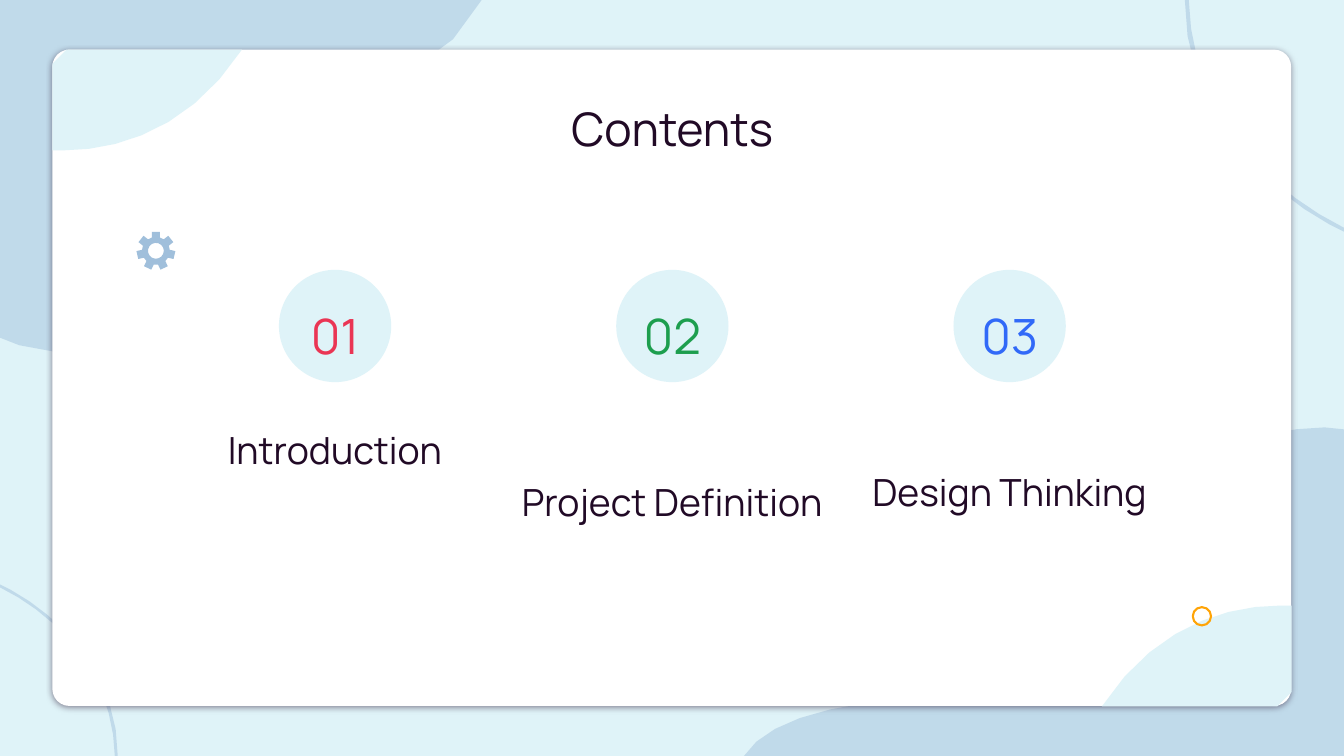
import math

import pptx
import pptx.dml.color
import pptx.enum.shapes
import pptx.enum.text
import pptx.oxml
import pptx.oxml.ns
import pptx.util
from pptx.util import Cm

COLOURS = {
    "ice": "DFF3F8", "steel": "A0BFDB", "white": "FFFFFF", "ink": "210A26",
    "red": "EA3554", "green": "1D9E4E", "blue": "3169F8", "amber": "FFA406",
}
RGB = {name: pptx.dml.color.RGBColor.from_string(code) for name, code in COLOURS.items()}
OVAL = pptx.enum.shapes.MSO_SHAPE.OVAL
ANCHOR = pptx.enum.text.MSO_ANCHOR
NS = pptx.oxml.ns.nsdecls("a")
WIDTH, HEIGHT = 33.87, 19.05
CARD_LEFT, CARD_TOP = 1.32, 1.25

prs = pptx.Presentation()
prs.slide_width, prs.slide_height = Cm(WIDTH), Cm(HEIGHT)
slide = prs.slides.add_slide(prs.slide_layouts.get_by_name("Comparison"))
slide.background.fill.solid()
slide.background.fill.fore_color.rgb = RGB["ice"]


def draw_outline(contours, colour, origin=(0, 0), scale=(1, 1), alpha=None):
    """Fill contours made of (x, y) corners and six-number Bezier steps, in cm from origin."""
    builder = None
    for contour in contours:
        points = [contour[0]]
        for step in contour[1:]:
            if len(step) == 2:
                points.append(step)
                continue
            knots = [points[-1], step[:2], step[2:4], step[4:]]
            pieces = min(8, math.ceil(math.dist(knots[0], knots[3]) / 0.8))
            for t in [n / pieces for n in range(1, pieces + 1)]:
                weights = [math.comb(3, k) * t**k * (1 - t) ** (3 - k) for k in range(4)]
                points.append([sum(w * knot[axis] for w, knot in zip(weights, knots))
                               for axis in (0, 1)])
        placed = [(Cm(origin[0] + scale[0] * x), Cm(origin[1] + scale[1] * y)) for x, y in points]
        if builder is None:
            builder = slide.shapes.build_freeform(*placed[0])
        else:
            builder.move_to(*placed[0])
        builder.add_line_segments(placed[1:], close=True)
    outline = builder.convert_to_shape()
    outline.shadow.inherit = False
    outline.line.fill.background()
    outline.fill.solid()
    outline.fill.fore_color.rgb = RGB[colour]
    if alpha:
        tint = outline.fill._xPr.find(".//" + pptx.oxml.ns.qn("a:srgbClr"))
        tint.append(pptx.oxml.parse_xml(f'<a:alpha {NS} val="{alpha * 1000}"/>'))


def write_line(box, text, size, colour, anchor):
    """Put one centred line of text in a box or placeholder."""
    frame = box.text_frame
    frame.word_wrap = True
    frame.auto_size = pptx.enum.text.MSO_AUTO_SIZE.NONE
    frame.vertical_anchor = anchor
    frame.margin_left = frame.margin_right = frame.margin_top = frame.margin_bottom = Cm(0.33)
    paragraph = frame.paragraphs[0]
    paragraph.alignment = pptx.enum.text.PP_ALIGN.CENTER
    paragraph.line_spacing = 1.15
    paragraph.space_before = pptx.util.Pt(0)
    run = paragraph.add_run()
    run.text = text
    run.font.name = "Manrope"
    run.font.size = pptx.util.Pt(size)
    run.font.bold = False
    run.font.color.rgb = RGB[colour]


# Background waves and arcs
arc = [
    (3.91, 0), (3.89, 1.22, 3.48, 2.46, 2.74, 3.45), (2.03, 4.45, 1.07, 5.21, 0, 5.74),
    (0, 5.84), (0.36, 5.66), (1.24, 5.18, 2.03, 4.52, 2.67, 3.73),
    (3.3, 2.9, 3.76, 1.96, 3.94, 0.91), (4.01, 0),
]
top_wave = [
    (1.52, 8.89), (0.79, 8.89, 0, 8.51, 0, 8.51), (0, 0), (12.14, 0),
    (10.59, 3.07, 5.79, 2.49, 3.78, 3.1), (1.8, 3.68, 3.99, 6.63, 2.92, 8.2),
    (2.54, 8.74, 2.03, 8.89, 1.52, 8.89),
]
bottom_wave = [
    (18.75, 19.05), (19.3, 18.16, 21.13, 17.58, 24.1, 17.58), (24.56, 17.58),
    (29.01, 17.58, 27.15, 13.64, 30.45, 11.58), (31.34, 11.02, 32.49, 10.77, 33.38, 10.77),
    (33.87, 10.82), (33.87, 19.05),
]
draw_outline([arc], "steel", (WIDTH, 0), (-1, 1), alpha=48)
draw_outline([top_wave], "steel", alpha=48)
draw_outline([bottom_wave], "steel", alpha=48)
draw_outline([arc], "steel", (0, HEIGHT), (0.74, -0.74), alpha=48)

# White card with a soft shadow
card = slide.shapes.add_shape(
    pptx.enum.shapes.MSO_SHAPE.ROUNDED_RECTANGLE,
    Cm(CARD_LEFT), Cm(CARD_TOP), Cm(31.22), Cm(16.54))
card.adjustments[0] = 0.026
card.fill.solid()
card.fill.fore_color.rgb = RGB["white"]
card.line.fill.background()
card.shadow.inherit = False
card_effects = card._element.spPr.find(pptx.oxml.ns.qn("a:effectLst"))
card_effects.append(pptx.oxml.parse_xml(
    f'<a:outerShdw {NS} blurRad="57150" dist="19050" dir="5400000" algn="bl" rotWithShape="0">'
    f'<a:srgbClr val="{COLOURS["ink"]}"><a:alpha val="50000"/></a:srgbClr></a:outerShdw>'))

# Tinted card corners, the second turned by half a circle
corner = [
    (4.78, 0), (3.5, 1.96, 1.73, 2.54, 0.28, 2.54), (0, 2.54),
    (0, 0.36), (0, 0.18, 0.15, 0, 0.36, 0),
]
draw_outline([corner], "ice", (CARD_LEFT, CARD_TOP))
draw_outline([corner], "ice", (WIDTH - CARD_LEFT, HEIGHT - CARD_TOP), (-1, -1))

# Seven-toothed gear
teeth = []
for tooth in range(7):
    for offset, radius in ((-17, 0.35), (-12, 0.49), (12, 0.49), (17, 0.35)):
        angle = math.radians(tooth * 360 / 7 - 90 + offset)
        teeth.append((radius * math.cos(angle), radius * math.sin(angle)))
hole = [(0.2 * math.cos(math.radians(-a)), 0.2 * math.sin(math.radians(-a)))
        for a in range(0, 360, 24)]
draw_outline([teeth, hole], "steel", (3.93, 6.32))

ring = slide.shapes.add_shape(OVAL, Cm(30.06), Cm(15.3), Cm(0.46), Cm(0.46))
ring.shadow.inherit = False
ring.fill.background()
ring.line.color.rgb = RGB["amber"]
ring.line.width = pptx.util.Pt(1.5)

# Heading and the three chapters
heading = slide.shapes.title
heading.left, heading.top, heading.width, heading.height = Cm(2.65), Cm(1.98), Cm(28.58), Cm(2.64)
write_line(heading, "Contents", 33, "ink", ANCHOR.TOP)
slide.shapes._spTree.append(heading._element)

chapters = [
    ("01", "red", "Introduction", 2.02),
    ("02", "green", "Project Definition", 3.33),
    ("03", "blue", "Design Thinking", 3.08),
]
for column, (number, colour, chapter, height) in enumerate(chapters):
    left = 4.2 + 8.5 * column
    disc = slide.shapes.add_shape(OVAL, Cm(left + 2.83), Cm(6.8), Cm(2.83), Cm(2.83))
    disc.shadow.inherit = False
    disc.fill.solid()
    disc.fill.fore_color.rgb = RGB["ice"]
    disc.line.fill.background()

    numeral = slide.shapes.add_textbox(Cm(left), Cm(7.24), Cm(8.49), Cm(2.21))
    write_line(numeral, number, 34.7, colour, ANCHOR.MIDDLE)

    label = slide.placeholders[column + 1]
    label.left, label.top, label.width, label.height = Cm(left), Cm(10.21), Cm(8.49), Cm(height)
    write_line(label, chapter, 26.7, "ink", ANCHOR.BOTTOM)
    properties = label.text_frame.paragraphs[0]._p.get_or_add_pPr()
    properties.set("marL", "0")
    properties.set("indent", "0")
    properties.append(pptx.oxml.parse_xml(f"<a:buNone {NS}/>"))
    slide.shapes._spTree.append(label._element)

spare = slide.placeholders[4]._element
spare.getparent().remove(spare)

prs.save("out.pptx")
